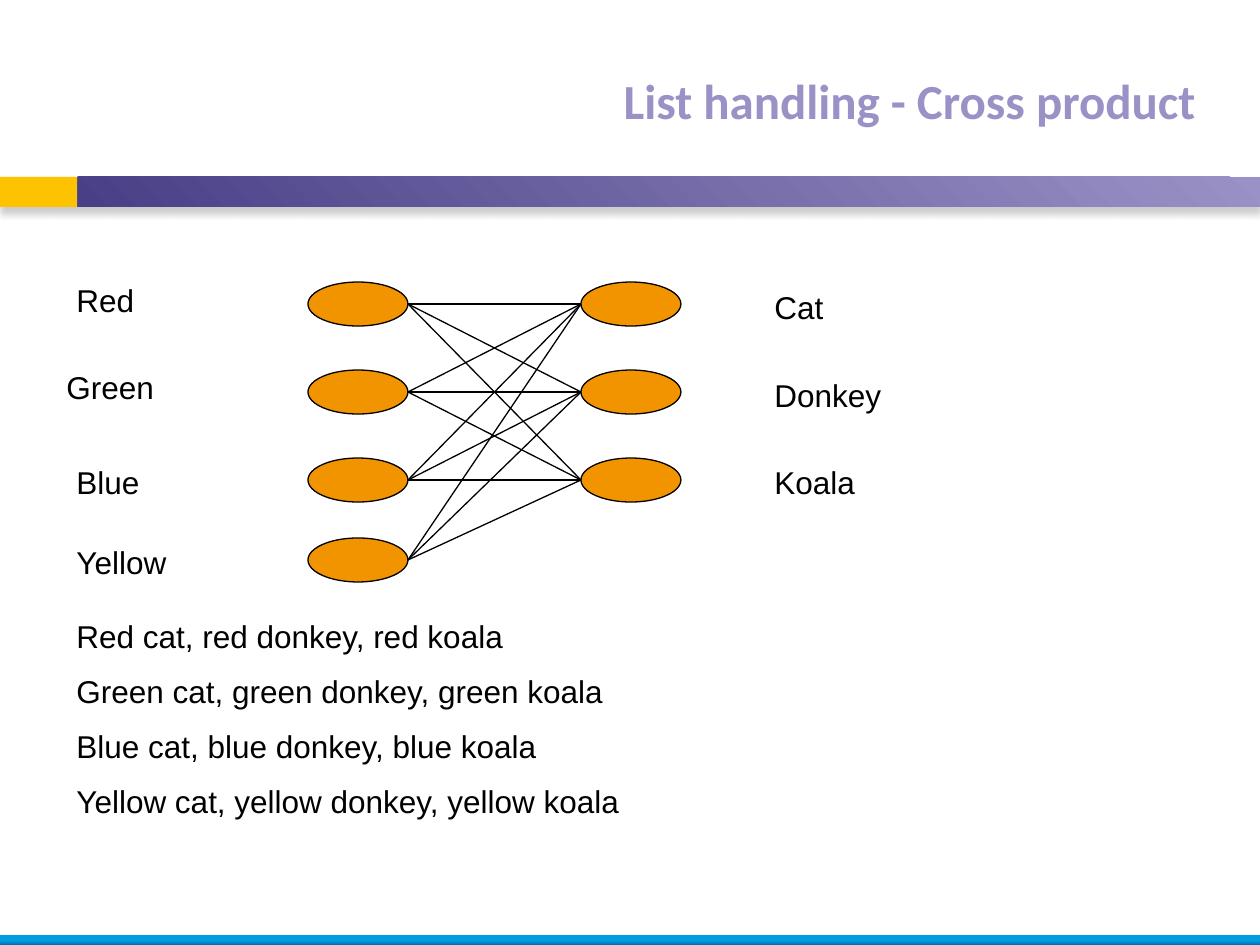
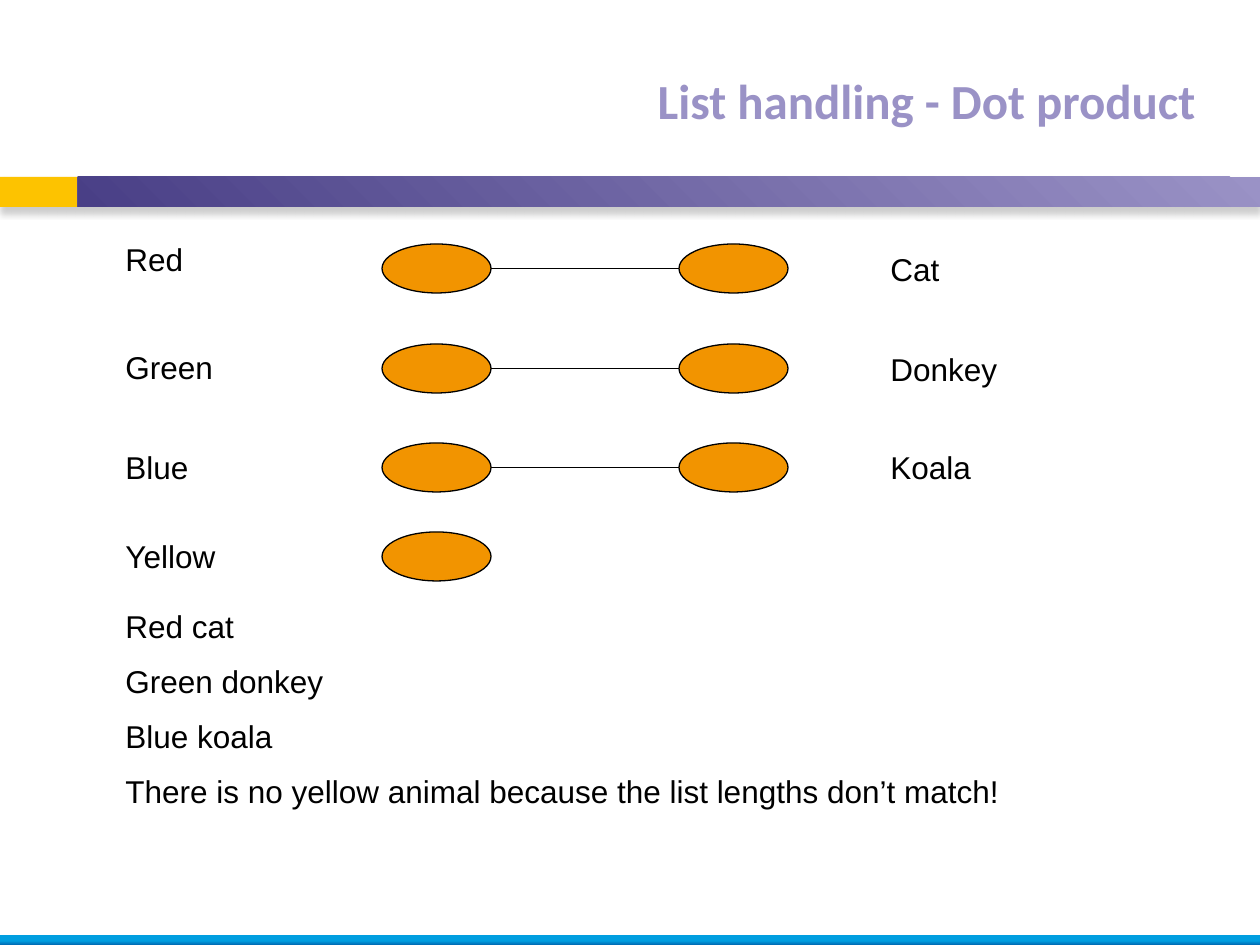
"""Build two slides that compare the cross product and the dot product of lists."""
from itertools import product

from lxml import etree
from pptx import Presentation
from pptx.dml.color import RGBColor
from pptx.enum.shapes import MSO_CONNECTOR, MSO_SHAPE
from pptx.enum.text import MSO_ANCHOR, MSO_AUTO_SIZE, PP_ALIGN
from pptx.oxml.ns import qn
from pptx.util import Emu, Pt

RECTANGLE, OVAL = MSO_SHAPE.RECTANGLE, MSO_SHAPE.OVAL
STRAIGHT = MSO_CONNECTOR.STRAIGHT
TOP, MIDDLE = MSO_ANCHOR.TOP, MSO_ANCHOR.MIDDLE
LEFT, RIGHT = PP_ALIGN.LEFT, PP_ALIGN.RIGHT
GROW, NO_FIT = MSO_AUTO_SIZE.SHAPE_TO_FIT_TEXT, MSO_AUTO_SIZE.NONE

EMU_PER_PX = 914400 / 126
PAGE_WIDTH, PAGE_HEIGHT = 1260, 945
BAND_TOP, BAND_HEIGHT = 177, 30
COLORS = {
    "white": "FFFFFF", "black": "000000", "yellow": "FDC300", "orange": "F29400",
    "lilac": "9A92C6", "violet": "493F86", "sky": "009EE0", "blue": "006AB2",
    "shadow": "808080",
}

COLOR_WORDS = ["Red", "Green", "Blue", "Yellow"]
ANIMALS = ["Cat", "Donkey", "Koala"]

CROSS = {
    "title": "List handling - Cross product",
    "oval_size": (100, 44),
    "oval_lefts": (308, 581),
    "oval_tops": [282, 370, 458, 538],
    "label_size": (145, 45),
    "color_places": [(64, 275), (54, 362), (64, 457), (64, 537)],
    "animal_places": [(762, 282), (762, 370), (762, 457)],
    "links": list(product(range(4), range(3))),
    "result_box": (64, 611, 963, 222),
    "results": [
        "Red cat, red donkey, red koala",
        "Green cat, green donkey, green koala",
        "Blue cat, blue donkey, blue koala",
        "Yellow cat, yellow donkey, yellow koala",
    ],
}
DOT = {
    "title": "List handling - Dot product",
    "oval_size": (109, 49),
    "oval_lefts": (382, 679),
    "oval_tops": [244, 344, 443, 532],
    "label_size": (159, 50),
    "color_places": [(113, 234), (113, 342), (113, 442), (113, 531)],
    "animal_places": [(878, 244), (878, 344), (878, 442)],
    "links": [(row, row) for row in range(3)],
    "result_box": (113, 601, 1042, 222),
    "results": [
        "Red cat",
        "Green donkey",
        "Blue koala",
        "There is no yellow animal because the list lengths don’t match!",
    ],
}


def px(*lengths):
    """Turn pixel lengths into EMU."""
    return [Emu(round(length * EMU_PER_PX)) for length in lengths]


def rgb(name):
    """Look up a named colour."""
    return RGBColor.from_string(COLORS[name])


def format_text(frame, font, size, color, bold=False, align=LEFT):
    """Give every run in a text frame the same look."""
    for para in frame.paragraphs:
        para.alignment = align
        for span in para.runs:
            span.font.name, span.font.size = font, Pt(size)
            span.font.bold = bold
            span.font.color.rgb = rgb(color)


def add_filled(page, kind, place, color, outline=None):
    """Add a preset shape with a flat fill and an optional outline."""
    shape = page.shapes.add_shape(kind, *px(*place))
    shape.shadow.inherit = False
    shape.fill.solid()
    shape.fill.fore_color.rgb = rgb(color)
    if outline:
        shape.line.color.rgb = rgb(outline)
        shape.line.width = Pt(0.75)
    else:
        shape.line.fill.background()
    return shape


def add_gradient(page, place, stops, angle):
    """Add a rectangle that blends two colours."""
    shape = add_filled(page, RECTANGLE, place, stops[0][1])
    shape.fill.gradient()
    shape.fill.gradient_angle = angle
    for stop, (position, color) in zip(shape.fill.gradient_stops, stops):
        stop.position = position
        stop.color.rgb = rgb(color)


def add_drop_shadow(shape):
    """Cast a soft grey shadow straight down."""
    effects = shape.element.spPr.find(qn("a:effectLst"))
    shadow = etree.SubElement(effects, qn("a:outerShdw"), blurRad=str(Pt(4)),
                              dist=str(Pt(3)), dir="5400000", rotWithShape="0")
    color = etree.SubElement(shadow, qn("a:srgbClr"), val=COLORS["shadow"])
    etree.SubElement(color, qn("a:alpha"), val="40000")


def add_text(page, place, lines):
    """Add a left-aligned text box with one paragraph per line."""
    box = page.shapes.add_textbox(*px(*place))
    frame = box.text_frame
    frame.word_wrap = True
    frame.auto_size = GROW
    frame.vertical_anchor = TOP
    frame.text = "\n".join(lines)
    format_text(frame, "Arial", 18, "black")
    for para in frame.paragraphs[1:]:
        para.space_before = Pt(9.8)


def add_link(page, start, end):
    """Join two points with a thin black line."""
    link = page.shapes.add_connector(STRAIGHT, *px(*start, *end))
    link.line.color.rgb = rgb("black")
    link.line.width = Pt(0.75)
    etree.SubElement(link.element.spPr, qn("a:effectLst"))


def add_frame(page):
    """Draw the header band and the footer strip."""
    band = add_filled(page, RECTANGLE, (0, BAND_TOP, PAGE_WIDTH, BAND_HEIGHT), "white")
    add_drop_shadow(band)
    add_filled(page, RECTANGLE, (0, BAND_TOP, 88, BAND_HEIGHT), "yellow")
    add_gradient(page, (78, BAND_TOP, PAGE_WIDTH - 78, BAND_HEIGHT),
                 [(0, "lilac"), (1, "violet")], 225)
    add_gradient(page, (0, 935, PAGE_WIDTH, 10), [(0.6, "sky"), (1, "blue")], 270)


def set_title(page, text):
    """Place and format the title placeholder."""
    title = page.shapes.title
    title.left, title.top, title.width, title.height = px(84, 32, 1124, 136)
    frame = title.text_frame
    frame.text = text
    frame.word_wrap = True
    frame.auto_size = NO_FIT
    frame.vertical_anchor = MIDDLE
    format_text(frame, "Calibri", 28, "lilac", bold=True, align=RIGHT)


def add_mapping(page, plan):
    """Draw both columns of ovals, their links and their labels."""
    width, height = plan["oval_size"]
    left, right = plan["oval_lefts"]
    tops = plan["oval_tops"]
    for column, words in ((left, COLOR_WORDS), (right, ANIMALS)):
        for top in tops[:len(words)]:
            add_filled(page, OVAL, (column, top, width, height), "orange", "black")
    centers = [top + height / 2 for top in tops]
    for source, target in plan["links"]:
        add_link(page, (left + width, centers[source]), (right, centers[target]))
    places = plan["color_places"] + plan["animal_places"]
    for word, place in zip(COLOR_WORDS + ANIMALS, places):
        add_text(page, place + plan["label_size"], [word])


def main():
    """Build and save the deck."""
    deck = Presentation()
    deck.slide_width, deck.slide_height = px(PAGE_WIDTH, PAGE_HEIGHT)
    title_only = deck.slide_layouts[5]
    for plan in (CROSS, DOT):
        page = deck.slides.add_slide(title_only)
        add_frame(page)
        set_title(page, plan["title"])
        add_mapping(page, plan)
        add_text(page, plan["result_box"], plan["results"])
    deck.save("out.pptx")


if __name__ == "__main__":
    main()
